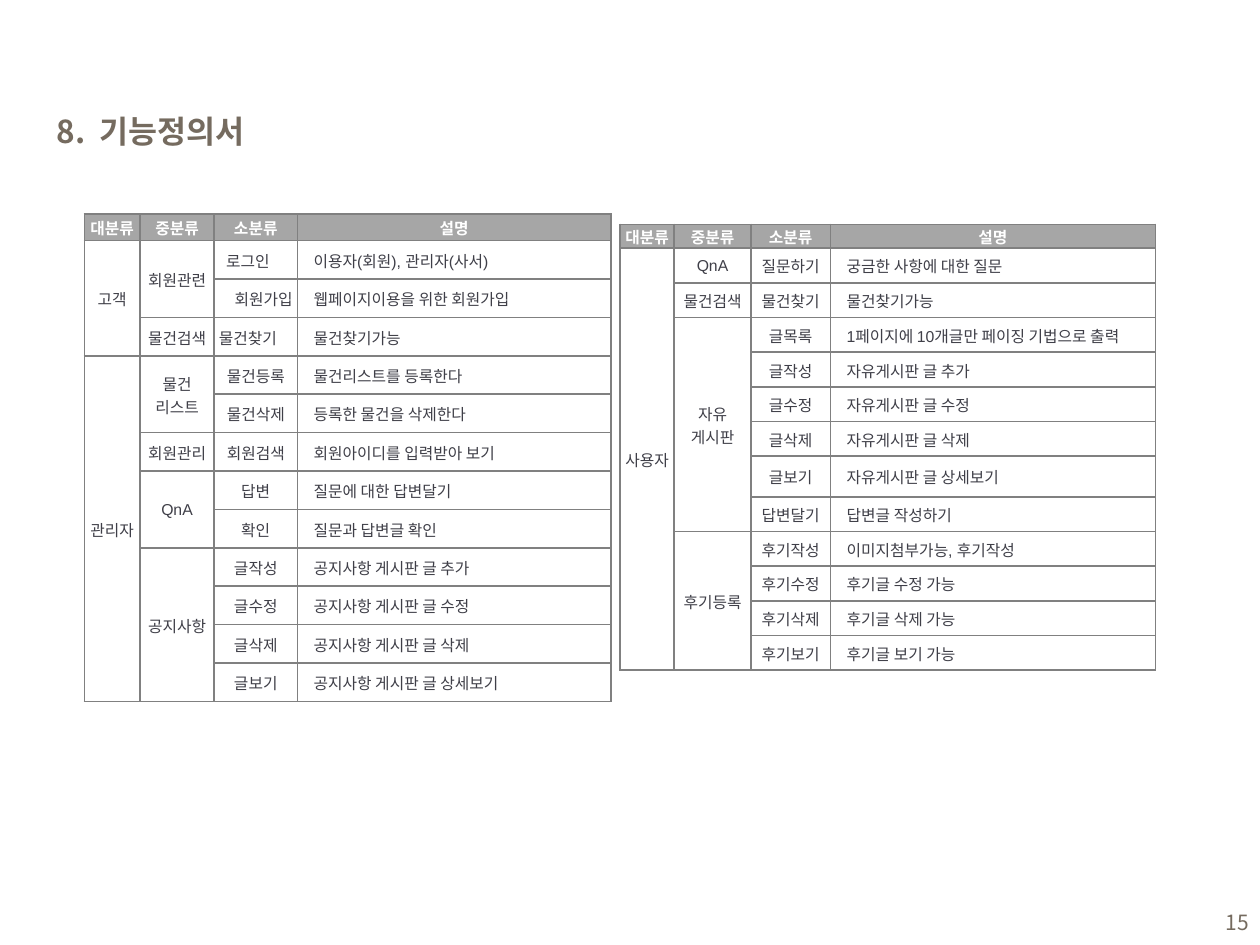
"""Build the feature definition slide with its two classification tables."""
from dataclasses import dataclass

from lxml.etree import SubElement
from pptx import Presentation
from pptx.dml.color import RGBColor
from pptx.enum.text import MSO_ANCHOR, MSO_AUTO_SIZE, PP_ALIGN
from pptx.oxml import parse_xml
from pptx.oxml.ns import nsdecls, qn
from pptx.slide import Slide
from pptx.table import _Cell
from pptx.text.text import TextFrame
from pptx.util import Inches, Length, Pt

GRID_COLUMNS, GRID_ROWS = 100, 75


@dataclass(frozen=True)
class TextStyle:
    size: float
    color: str
    font: str
    bold: bool = False


@dataclass(frozen=True)
class Theme:
    korean_font: str = "Noto Sans CJK KR"
    header_fill: str = "A6A6A6"
    body_fill: str = "FFFFFF"
    border: str = "808080"
    border_width: float = 1
    title: TextStyle = TextStyle(18, "756B5F", "Noto Sans CJK KR", True)
    page_number: TextStyle = TextStyle(12, "756B5F", "Noto Sans CJK KR")
    header: TextStyle = TextStyle(9, "FFFFFF", "Arial", True)
    body: TextStyle = TextStyle(9, "3F3F48", "Arial")


@dataclass(frozen=True)
class Frame:
    left: float
    top: float
    width: float
    height: float

    def lengths(self) -> tuple[Length, Length, Length, Length]:
        return grid(self.left), grid(self.top), grid(self.width), grid(self.height)


@dataclass(frozen=True)
class Category:
    name: str
    features: dict[str, str]


@dataclass(frozen=True)
class Section:
    name: str
    categories: list[Category]

    def row_count(self) -> int:
        return sum(len(category.features) for category in self.categories)


@dataclass(frozen=True)
class FeatureTable:
    frame: Frame
    columns: tuple[float, ...]
    header_height: float
    sections: list[Section]
    tall_row: int = 0
    tall_row_weight: float = 1


THEME = Theme()
HEADINGS = ("대분류", "중분류", "소분류", "설명")
TITLE_FRAME = Frame(3.5, 8.4, 32.1, 4)
PAGE_NUMBER_FRAME = Frame(76.8, 71.2, 23.3, 4)

STAFF_TABLE = FeatureTable(Frame(6.7, 17, 41.7, 38.7), (4.4, 5.9, 6.6, 24.9), 2.1, [
    Section("고객", [
        Category("회원관련", {
            "로그인　": "이용자(회원), 관리자(사서)",
            "　회원가입": "웹페이지이용을 위한 회원가입",
        }),
        Category("물건검색", {"물건찾기　": "물건찾기가능"}),
    ]),
    Section("관리자", [
        Category("물건\n리스트", {
            "물건등록": "물건리스트를 등록한다",
            "물건삭제": "등록한 물건을 삭제한다",
        }),
        Category("회원관리", {"회원검색": "회원아이디를 입력받아 보기"}),
        Category("QnA", {"답변": "질문에 대한 답변달기", "확인": "질문과 답변글 확인"}),
        Category("공지사항", {
            "글작성": "공지사항 게시판 글 추가",
            "글수정": "공지사항 게시판 글 수정",
            "글삭제": "공지사항 게시판 글 삭제",
            "글보기": "공지사항 게시판 글 상세보기",
        }),
    ]),
])

USER_TABLE = FeatureTable(Frame(49.2, 17.8, 42.5, 35.4), (4.3, 6.1, 6.3, 25.8), 1.9, [
    Section("사용자", [
        Category("QnA", {"질문하기": "궁금한 사항에 대한 질문"}),
        Category("물건검색", {"물건찾기": "물건찾기가능"}),
        Category("자유\n게시판", {
            "글목록": "1페이지에 10개글만 페이징 기법으로 출력",
            "글작성": "자유게시판 글 추가",
            "글수정": "자유게시판 글 수정",
            "글삭제": "자유게시판 글 삭제",
            "글보기": "자유게시판 글 상세보기",
            "답변달기": "답변글 작성하기",
        }),
        Category("후기등록", {
            "후기작성": "이미지첨부가능, 후기작성",
            "후기수정": "후기글 수정 가능",
            "후기삭제": "후기글 삭제 가능",
            "후기보기": "후기글 보기 가능",
        }),
    ]),
], tall_row=7, tall_row_weight=1.17)


def grid(units: float) -> Length:
    return Inches(units / 10)


def write_text(text_frame: TextFrame, text: str, style: TextStyle,
               alignment: PP_ALIGN, indent: float = 0) -> None:
    for index, line in enumerate(text.split("\n")):
        paragraph = text_frame.add_paragraph() if index else text_frame.paragraphs[0]
        paragraph.alignment = alignment
        if indent:
            paragraph._p.get_or_add_pPr().set("marL", str(grid(indent)))
        run = paragraph.add_run()
        run.text = line
        run.font.size = Pt(style.size)
        run.font.bold = style.bold
        run.font.name = style.font
        run.font.color.rgb = RGBColor.from_string(style.color)
        SubElement(run._r.get_or_add_rPr(), qn("a:ea"), typeface=THEME.korean_font)


def format_cell(cell: _Cell, fill: str) -> None:
    cell.fill.solid()
    cell.fill.fore_color.rgb = RGBColor.from_string(fill)
    cell.vertical_anchor = MSO_ANCHOR.MIDDLE
    cell.margin_left = cell.margin_right = cell.margin_top = grid(0.1)
    cell.margin_bottom = 0
    properties = cell._tc.get_or_add_tcPr()
    for position, side in enumerate(("lnL", "lnR", "lnT", "lnB")):
        properties.insert(position, parse_xml(
            f'<a:{side} {nsdecls("a")} w="{Pt(THEME.border_width)}"><a:solidFill>'
            f'<a:srgbClr val="{THEME.border}"/></a:solidFill></a:{side}>'))


def draw_feature_table(slide: Slide, content: FeatureTable) -> None:
    body_rows = sum(section.row_count() for section in content.sections)
    table = slide.shapes.add_table(
        body_rows + 1, len(HEADINGS), *content.frame.lengths()).table
    table.first_row = table.horz_banding = False
    for column, width in zip(table.columns, content.columns):
        column.width = grid(width)
    weights = [content.tall_row_weight if row == content.tall_row else 1
               for row in range(1, body_rows + 1)]
    unit = (content.frame.height - content.header_height) / sum(weights)
    heights = [content.header_height] + [unit * weight for weight in weights]
    for index, (row, height) in enumerate(zip(table.rows, heights)):
        row.height = grid(height)
        for cell in row.cells:
            format_cell(cell, THEME.body_fill if index else THEME.header_fill)

    def write_cell(row: int, column: int, text: str, span: int = 1) -> None:
        cell = table.cell(row, column)
        if span > 1:
            cell.merge(table.cell(row + span - 1, column))
        is_description = row > 0 and column == len(HEADINGS) - 1
        write_text(cell.text_frame, text, THEME.body if row else THEME.header,
                   PP_ALIGN.LEFT if is_description else PP_ALIGN.CENTER,
                   1.2 if is_description else 0)

    for column, heading in enumerate(HEADINGS):
        write_cell(0, column, heading)
    row = 1
    for section in content.sections:
        write_cell(row, 0, section.name, section.row_count())
        for category in section.categories:
            write_cell(row, 1, category.name, len(category.features))
            for feature, description in category.features.items():
                write_cell(row, 2, feature)
                write_cell(row, 3, description)
                row += 1


def draw_title(slide: Slide, text: str) -> None:
    title = slide.shapes.title
    title.left, title.top, title.width, title.height = TITLE_FRAME.lengths()
    title.text_frame.word_wrap = True
    title.text_frame.auto_size = MSO_AUTO_SIZE.SHAPE_TO_FIT_TEXT
    title.text_frame.vertical_anchor = MSO_ANCHOR.TOP
    write_text(title.text_frame, text, THEME.title, PP_ALIGN.LEFT)


def draw_page_number(slide: Slide, text: str) -> None:
    text_frame = slide.shapes.add_textbox(*PAGE_NUMBER_FRAME.lengths()).text_frame
    text_frame.word_wrap = True
    text_frame.vertical_anchor = MSO_ANCHOR.MIDDLE
    write_text(text_frame, text, THEME.page_number, PP_ALIGN.RIGHT)


def main() -> None:
    presentation = Presentation()
    presentation.slide_width, presentation.slide_height = grid(GRID_COLUMNS), grid(GRID_ROWS)
    slide = presentation.slides.add_slide(presentation.slide_layouts[5])
    draw_page_number(slide, "15")
    draw_title(slide, "8.  기능정의서")
    for content in (STAFF_TABLE, USER_TABLE):
        draw_feature_table(slide, content)
    presentation.save("out.pptx")


if __name__ == "__main__":
    main()
